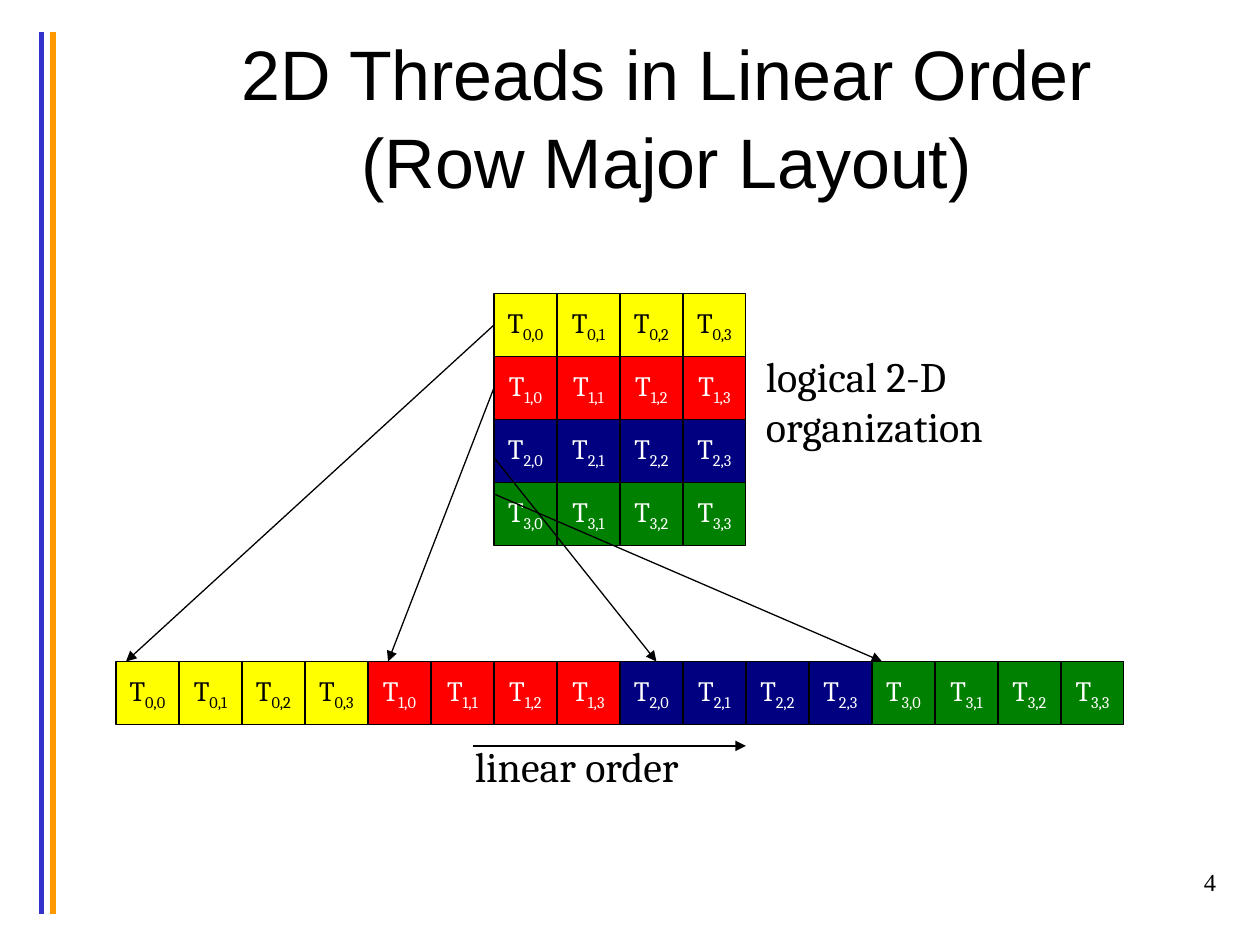
from dataclasses import dataclass

import pptx
import pptx.dml.color
import pptx.enum.shapes
import pptx.enum.text
import pptx.oxml
import pptx.oxml.ns
import pptx.util
from pptx.util import Inches

COLORS = {
    "black": "000000", "white": "FFFFFF", "yellow": "FFFF00", "red": "FF0000",
    "navy": "000080", "green": "008000", "blue rule": "3333CC", "orange rule": "FF9900",
}
CELL = 0.5
GRID_LEFT, GRID_TOP = 3.92, 2.33
LINEAR_LEFT, LINEAR_TOP = 0.92, 5.25
COLUMNS = 4
ALIGN = pptx.enum.text.PP_ALIGN
ANCHOR = pptx.enum.text.MSO_ANCHOR
AUTO_SIZE = pptx.enum.text.MSO_AUTO_SIZE


@dataclass
class ThreadRow:
    fill: str
    ink: str
    arrow_start_y: float
    arrow_end_x: float
    joined: bool  # the arrow leaves from the middle of the first cell's side


@dataclass
class Label:
    lines: list[str]
    left: float
    top: float
    width: float
    height: float
    size: int
    font: str
    align: ALIGN
    frame: dict


THREAD_ROWS = [
    ThreadRow("yellow", "black", 2.58, 1.0, True),
    ThreadRow("red", "white", 3.08, 3.08, True),
    ThreadRow("navy", "white", 3.63, 5.21, False),
    ThreadRow("green", "white", 3.92, 7.0, False),
]
FITTED = {"word_wrap": False, "auto_size": AUTO_SIZE.SHAPE_TO_FIT_TEXT}
TITLE_FRAME = {"word_wrap": True, "vertical_anchor": ANCHOR.MIDDLE, "margin_top": Inches(0.11)}
LABELS = [
    Label(["2D Threads in Linear Order", "(Row Major Layout)"],
          0.75, 0.25, 9.08, 1.25, 40, "Arial", ALIGN.CENTER, TITLE_FRAME),
    Label(["4"], 7.67, 6.83, 2.08, 0.5, 14, "Times New Roman", ALIGN.RIGHT, {"word_wrap": True}),
    Label(["linear order"], 3.67, 5.83, 1.94, 0.5, 24, "Cambria", ALIGN.LEFT, FITTED),
    Label(["logical 2-D", "organization"],
          5.98, 2.73, 2.08, 0.9, 24, "Cambria", ALIGN.LEFT, FITTED),
]


def rgb(name: str) -> pptx.dml.color.RGBColor:
    return pptx.dml.color.RGBColor.from_string(COLORS[name])


def set_values(target, values: dict) -> None:
    for attribute, value in values.items():
        setattr(target, attribute, value)


def set_font(font, name: str, size: int, color: str) -> None:
    set_values(font, {"name": name, "size": pptx.util.Pt(size)})
    font.color.rgb = rgb(color)


def add_line(slide, start: tuple, end: tuple, color: str = "black",
             width: float = 0.75, arrow: bool = False):
    line = slide.shapes.add_connector(
        pptx.enum.shapes.MSO_CONNECTOR.STRAIGHT, *map(Inches, start + end))
    line.line.color.rgb = rgb(color)
    line.line.width = pptx.util.Pt(width)
    if arrow:
        head = pptx.oxml.parse_xml(
            f'<a:tailEnd {pptx.oxml.ns.nsdecls("a")} type="triangle"/>')
        line.line._get_or_add_ln().append(head)
    line._element.spPr.append(
        pptx.oxml.parse_xml(f'<a:effectLst {pptx.oxml.ns.nsdecls("a")}/>'))
    return line


def add_label(slide, label: Label) -> None:
    box = slide.shapes.add_textbox(
        *map(Inches, (label.left, label.top, label.width, label.height)))
    frame = box.text_frame
    set_values(frame, label.frame)
    for index, line in enumerate(label.lines):
        paragraph = frame.add_paragraph() if index else frame.paragraphs[0]
        paragraph.alignment = label.align
        if label.font == "Arial":
            paragraph.line_spacing = 1.05
        run = paragraph.add_run()
        run.text = line
        set_font(run.font, label.font, label.size, "black")


def add_thread(slide, left: float, top: float, row: int, column: int):
    """Draw one cell named T with its row and column as subscript."""
    style = THREAD_ROWS[row]
    cell = slide.shapes.add_shape(
        pptx.enum.shapes.MSO_SHAPE.RECTANGLE, *map(Inches, (left, top, CELL, CELL)))
    cell.shadow.inherit = False
    cell.fill.solid()
    cell.fill.fore_color.rgb = rgb(style.fill)
    cell.line.color.rgb = rgb("black")
    cell.line.width = pptx.util.Pt(0.75)
    set_values(cell.text_frame, {"word_wrap": False, "vertical_anchor": ANCHOR.MIDDLE})
    paragraph = cell.text_frame.paragraphs[0]
    paragraph.alignment = ALIGN.CENTER
    for text in ("T", f"{row},{column}"):
        run = paragraph.add_run()
        run.text = text
        set_font(run.font, "Cambria", 16, style.ink)
    run._r.get_or_add_rPr().set("baseline", "-25000")
    return cell


def main() -> None:
    presentation = pptx.Presentation()
    set_values(presentation, {"slide_width": Inches(10), "slide_height": Inches(7.5)})
    slide = presentation.slides.add_slide(presentation.slide_layouts[6])

    for x, color in ((0.33, "blue rule"), (0.42, "orange rule")):
        add_line(slide, (x, 0.25), (x, 7.25), color, 3)

    first_cells = []
    for row in range(len(THREAD_ROWS)):
        for column in range(COLUMNS):
            cell = add_thread(slide, GRID_LEFT + column * CELL,
                              GRID_TOP + row * CELL, row, column)
            if column == 0:
                first_cells.append(cell)
            position = row * COLUMNS + column
            add_thread(slide, LINEAR_LEFT + position * CELL, LINEAR_TOP, row, column)

    for style, first_cell in zip(THREAD_ROWS, first_cells):
        arrow = add_line(slide, (GRID_LEFT, style.arrow_start_y),
                         (style.arrow_end_x, LINEAR_TOP), arrow=True)
        if style.joined:
            arrow.begin_connect(first_cell, 1)
    add_line(slide, (3.75, 5.92), (5.92, 5.92), arrow=True)

    for label in LABELS:
        add_label(slide, label)
    presentation.save("out.pptx")


if __name__ == "__main__":
    main()
